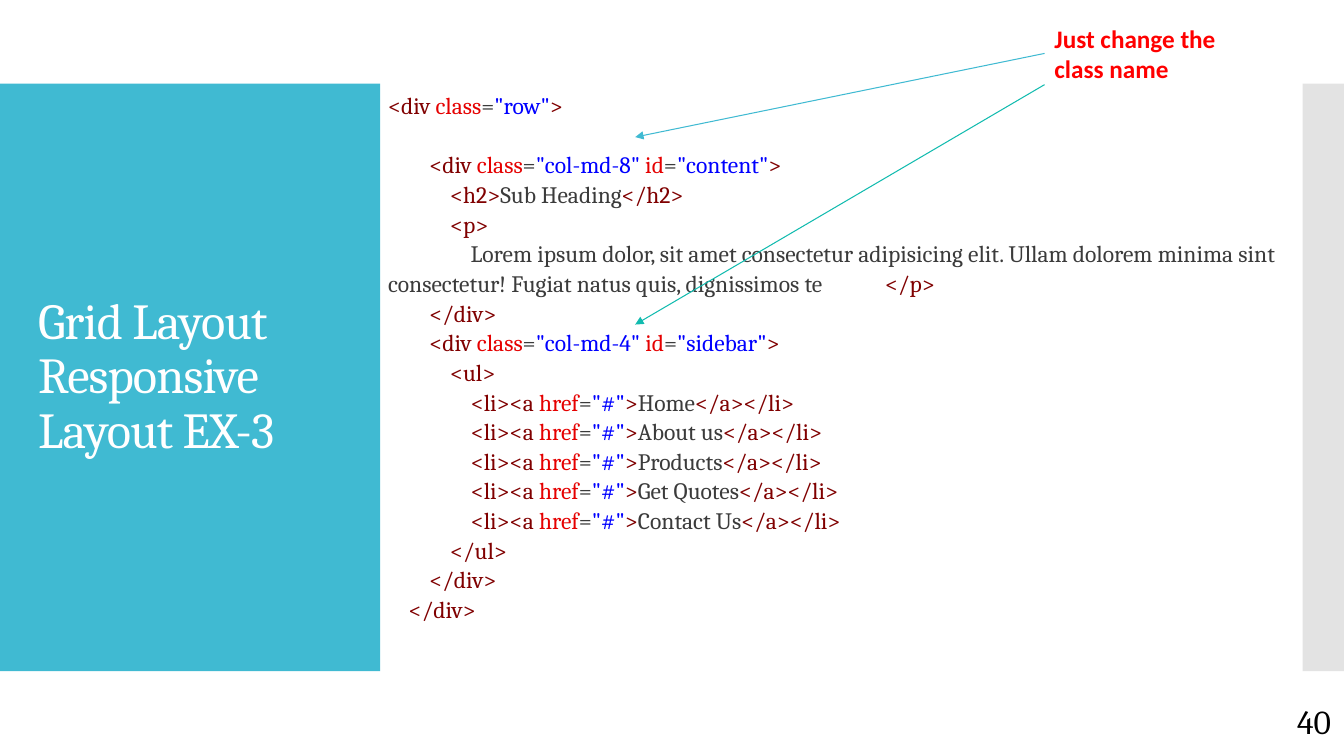
from dataclasses import dataclass, field
from itertools import groupby
from typing import Any, Iterator

from lxml.etree import SubElement
from pptx import Presentation
from pptx.dml.color import RGBColor
from pptx.enum.shapes import MSO_CONNECTOR, MSO_SHAPE
from pptx.enum.text import MSO_ANCHOR, PP_ALIGN
from pptx.oxml.ns import qn
from pptx.util import Inches, Pt

TEXT, TAG, ATTR, VALUE = "3B3B3B", "800000", "E50000", "0000FF"

CODE = """\
<div class="row">
        <div class="col-md-8" id="content">
            <h2>Sub Heading</h2>
            <p>
                Lorem ipsum dolor, sit amet consectetur adipisicing elit. \
Ullam dolorem minima sint consectetur! Fugiat natus quis, dignissimos te\t</p>
        </div>
        <div class="col-md-4" id="sidebar">
            <ul>
                <li><a href="#">Home</a></li>
                <li><a href="#">About us</a></li>
                <li><a href="#">Products</a></li>
                <li><a href="#">Get Quotes</a></li>
                <li><a href="#">Contact Us</a></li>
            </ul>
        </div>
    </div>"""


@dataclass
class Panel:
    box: tuple[float, ...]
    fill: str
    alpha: int = 100


@dataclass
class Arrow:
    start: tuple[float, float]
    end: tuple[float, float]
    color: str


@dataclass
class Label:
    text: str
    box: tuple[float, ...]
    color: str
    font: dict[str, Any]
    para: dict[str, Any] = field(default_factory=dict)
    anchor: MSO_ANCHOR = MSO_ANCHOR.TOP
    track: int = 0


PANELS = [
    Panel((0, 0.83, 3.77, 5.83), "40BAD2"),
    Panel((12.92, 0.83, 0.42, 5.83), "C8C8C8", 50),
]
ARROWS = [
    Arrow((10.36, 0.53), (6.3, 1.36), "40BAD2"),
    Arrow((10.36, 0.84), (6.3, 3.22), "11BBAF"),
]
LABELS = [
    Label("Grid Layout Responsive Layout EX-3", (0.28, 1.23, 3.22, 5.03), "FFFFFF",
          {"name": "Cambria", "size": Pt(36)}, {"line_spacing": 0.9},
          MSO_ANCHOR.MIDDLE, -60),
    Label("40", (11.63, 6.95, 1.67, 0.4), "000000",
          {"name": "Cambria", "size": Pt(24)}, {"alignment": PP_ALIGN.RIGHT},
          MSO_ANCHOR.MIDDLE),
    Label("Just change the class name", (10.36, 0.18, 2.28, 0.71), "FF0000",
          {"name": "Calibri", "size": Pt(18), "bold": True}),
]


def paint(target: Any, color: str) -> None:
    target.rgb = RGBColor.from_string(color)


def apply(target: Any, values: dict[str, Any]) -> None:
    for name, value in values.items():
        setattr(target, name, value)


def inches(box: tuple[float, ...]) -> list[int]:
    return [Inches(side) for side in box]


def add_panel(slide: Any, panel: Panel) -> None:
    shape = slide.shapes.add_shape(MSO_SHAPE.RECTANGLE, *inches(panel.box))
    shape.shadow.inherit = False
    shape.fill.solid()
    paint(shape.fill.fore_color, panel.fill)
    shape.line.fill.background()
    if panel.alpha < 100:
        color = next(shape._element.spPr.iter(qn("a:srgbClr")))
        SubElement(color, qn("a:alpha"), val=str(panel.alpha * 1000))


def add_arrow(slide: Any, arrow: Arrow) -> None:
    line = slide.shapes.add_connector(
        MSO_CONNECTOR.STRAIGHT, *inches(arrow.start + arrow.end))
    paint(line.line.color, arrow.color)
    line.line.width = Pt(0.75)
    SubElement(line.line._get_or_add_ln(), qn("a:tailEnd"), type="triangle")
    SubElement(line._element.spPr, qn("a:effectLst"))


def add_frame(slide: Any, box: tuple[float, ...], anchor: MSO_ANCHOR) -> Any:
    frame = slide.shapes.add_textbox(*inches(box)).text_frame
    apply(frame, {"word_wrap": True, "vertical_anchor": anchor})
    return frame


def add_run(para: Any, text: str, color: str, font: dict[str, Any]) -> Any:
    run = para.add_run()
    run.text = text
    apply(run.font, font)
    paint(run.font.color, color)
    return run


def add_label(slide: Any, label: Label) -> None:
    para = add_frame(slide, label.box, label.anchor).paragraphs[0]
    apply(para, label.para)
    run = add_run(para, label.text, label.color, label.font)
    if label.track:
        run._r.get_or_add_rPr().set("spc", str(label.track))


def tint(line: str) -> Iterator[tuple[str, str]]:
    """Pair each character of a line of HTML with its colour."""
    mode = TEXT
    for char in line:
        if char in "<>":
            yield char, TAG
            mode = TAG if char == "<" else TEXT
        elif char == "=" and mode == ATTR:
            yield char, TEXT
            mode = VALUE
        else:
            yield char, mode
            if char == " " and mode in (TAG, VALUE):
                mode = ATTR


def add_code(slide: Any) -> None:
    frame = add_frame(slide, (3.75, 0.84, 9.15, 5.75), MSO_ANCHOR.TOP)
    font = {"name": "Cambria", "size": Pt(16.8)}
    for row, line in enumerate(CODE.split("\n")):
        para = frame.add_paragraph() if row else frame.paragraphs[0]
        para.line_spacing = 1.05
        if row == 1:  # one open line below the outer tag
            para.space_before = Pt(21.2)
        if "\t" in line:
            stops = SubElement(para._p.get_or_add_pPr(), qn("a:tabLst"))
            SubElement(stops, qn("a:tab"), pos=str(Inches(4.93)), algn="l")
        for color, group in groupby(tint(line), key=lambda pair: pair[1]):
            add_run(para, "".join(char for char, _ in group), color, font)


def main() -> None:
    deck = Presentation()
    apply(deck, {"slide_width": Inches(13.33), "slide_height": Inches(7.5)})
    slide = deck.slides.add_slide(deck.slide_layouts[6])
    # Side panels
    for panel in PANELS:
        add_panel(slide, panel)
    # Code and the arrows to its class names
    add_code(slide)
    for arrow in ARROWS:
        add_arrow(slide, arrow)
    # Title, page number and callout
    for label in LABELS:
        add_label(slide, label)
    deck.save("out.pptx")


if __name__ == "__main__":
    main()
